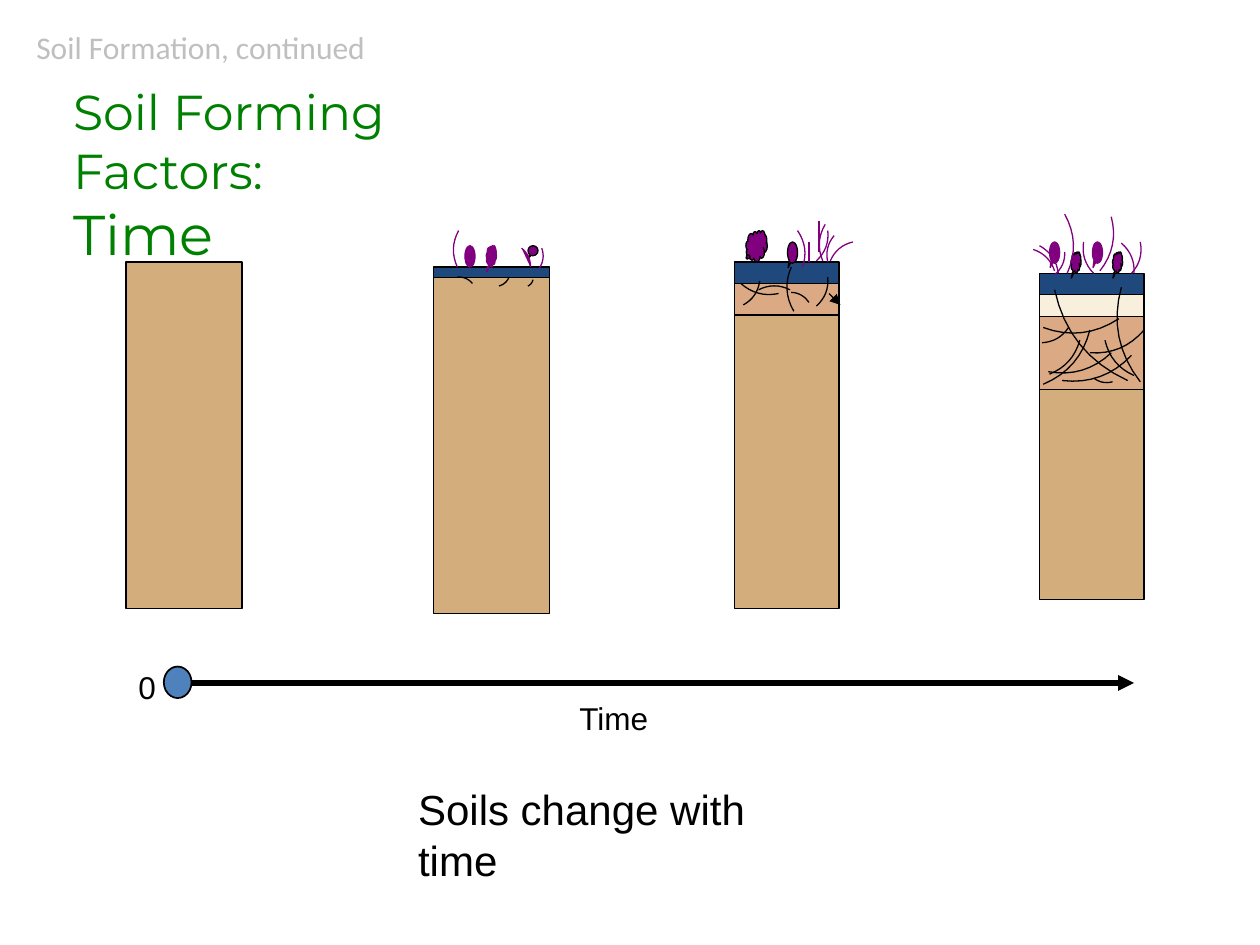
from dataclasses import dataclass
from typing import Optional

from lxml.etree import SubElement
from pptx import Presentation
from pptx.dml.color import RGBColor as Rgb
from pptx.enum.shapes import MSO_CONNECTOR as Link, MSO_SHAPE as Form
from pptx.enum.text import MSO_ANCHOR as Anchor, MSO_AUTO_SIZE as Fit, PP_ALIGN as Align
from pptx.oxml.ns import qn
from pptx.util import Cm, Pt

BLACK, PURPLE, BLUE = "000000", "800080", "4F81BD"
SOIL, HUMUS, CLAY, SAND = "D3AD7B", "1F497D", "DBAA85", "F8F0DC"
CLOUD, BUD = Form.CLOUD_CALLOUT, Form.OVAL_CALLOUT
STEPS, BEND = 8, 0.25


@dataclass
class Plant:
    form: Form
    x: float
    y: float
    line: str = PURPLE
    w: float = 0.08
    h: float = 0.17
    tip: float = 0.7


@dataclass
class Line:
    ends: tuple
    color: str = PURPLE
    width: float = 0.75
    head: Optional[str] = None
    tail: Optional[str] = None


@dataclass
class Column:
    x: float
    w: float
    top: float
    layers: tuple
    plants: tuple = ()
    stems: tuple = ()
    roots: tuple = ()
    lines: tuple = ()


def inch(n: float) -> Cm:
    return Cm(n * 2.54)


def rgb(code: str) -> Rgb:
    return Rgb.from_string(code)


def paint(shape, fill: Optional[str], line: str, width: float = 0.75) -> None:
    shape.shadow.inherit = False
    if fill:
        shape.fill.solid()
        shape.fill.fore_color.rgb = rgb(fill)
    else:
        shape.fill.background()
    shape.line.color.rgb = rgb(line)
    shape.line.width = Pt(width)


def add_form(host, form: Form, box: tuple, fill: str, line: str = BLACK, width: float = 0.75):
    shape = host.add_shape(form, *map(inch, box))
    paint(shape, fill, line, width)
    return shape


def add_plant(host, p: Plant) -> None:
    shape = add_form(host, p.form, (p.x, p.y, p.w, p.h), PURPLE, p.line)
    shape.adjustments[0] = -0.44
    shape.adjustments[1] = p.tip


def add_curve(host, ends: tuple, line: str, fill: Optional[str] = None) -> None:
    x, y, x2, y2 = ends
    dx, dy = x2 - x, y2 - y
    dots = []
    for k in range(STEPS + 1):
        t = k / STEPS
        push = 2 * t * (1 - t) * BEND
        dots.append((inch(x + t * dx + push * dy), inch(y + t * dy - push * dx)))
    pen = host.build_freeform(*dots[0])
    pen.add_line_segments(dots[1:], close=False)
    paint(pen.convert_to_shape(), fill, line)


def add_line(host, item: Line) -> None:
    link = host.add_connector(Link.STRAIGHT, *map(inch, item.ends))
    link.line.color.rgb = rgb(item.color)
    link.line.width = Pt(item.width)
    edge = link.line._get_or_add_ln()
    for tag, end in (("a:headEnd", item.head), ("a:tailEnd", item.tail)):
        if end:
            SubElement(edge, qn(tag)).set("type", end)
    SubElement(link._element.spPr, qn("a:effectLst"))


def add_column(host, col: Column) -> None:
    group = host.add_group_shape().shapes
    top = col.top
    for deep, fill in col.layers:
        add_form(group, Form.RECTANGLE, (col.x, top, col.w, deep), fill)
        top += deep
    for p in col.plants:
        add_plant(group, p)
    for color, curves in ((PURPLE, col.stems), (BLACK, col.roots)):
        for ends in curves:
            add_curve(group, ends, color)
    for item in col.lines:
        add_line(group, item)


def style(par, size: float, font: str, color: str) -> None:
    par.alignment = Align.LEFT
    for run in par.runs:
        run.font.size = Pt(size)
        run.font.name = font
        run.font.color.rgb = rgb(color)


def add_text(host, text: str, box: tuple, size: float,
             font: str = "Arial", color: str = BLACK, wrap: bool = True) -> None:
    frame = host.add_textbox(*map(inch, box)).text_frame
    frame.word_wrap = wrap
    frame.text = text
    style(frame.paragraphs[0], size, font, color)


def set_title(title) -> None:
    title.left, title.top, title.width, title.height = map(inch, (0.48, 0.6, 4.22, 1.58))
    frame = title.text_frame
    frame.text = "Soil Forming Factors:\nTime"
    frame.auto_size = Fit.NONE
    frame.word_wrap = True
    frame.vertical_anchor = Anchor.TOP
    for par, size in zip(frame.paragraphs, (28, 32)):
        style(par, size, "Montserrat", "008000")


COLUMNS = (
    Column(1, 0.92, 2.08, ((2.75, SOIL),)),
    Column(
        3.44, 0.92, 2.12, ((0.08, HUMUS), (2.67, SOIL)),
        (Plant(CLOUD, 3.86, 1.95), Plant(BUD, 4.19, 1.95, BLACK, h=0.08), Plant(BUD, 3.69, 1.95, tip=0.2)),
        ((4.3, 1.97, 4.28, 2.13), (3.63, 2.12, 3.64, 1.83)),
        ((4.23, 2.22, 4.19, 2.27), (3.63, 2.2, 3.75, 2.25), (4.04, 2.2, 3.96, 2.27))),
    Column(
        5.83, 0.83, 2.08, ((0.17, HUMUS), (0.25, CLAY), (2.33, SOIL)),
        (Plant(CLOUD, 5.92, 1.83, BLACK, 0.17, 0.25, 0.37), Plant(BUD, 6.25, 1.92, BLACK)),
        ((6.33, 1.83, 6.37, 2.12), (6.59, 2.07, 6.77, 1.92), (6.57, 1.83, 6.48, 2.07),
         (6.53, 2.07, 6.55, 1.78), (6.57, 2.08, 6.62, 1.87)),
        ((6.3, 2.47, 6.28, 2.12), (6.28, 2.32, 6.42, 2.4), (6.03, 2.23, 5.9, 2.42),
         (6.57, 2.2, 6.48, 2.43), (6.18, 2.33, 5.88, 2.25), (6.02, 2.3, 6.27, 2.3)),
        (Line((6.5, 1.75, 6.5, 2)), Line((6.42, 1.92, 6.42, 2.08)),
         Line((6.58, 2.33, 6.67, 2.42), BLACK, tail="triangle"))),
    Column(
        8.25, 0.83, 2.17, ((0.17, HUMUS), (0.17, SAND), (0.58, CLAY), (1.67, SOIL)),
        (Plant(BUD, 8.67, 1.92), Plant(BUD, 8.33, 1.92),
         Plant(CLOUD, 8.83, 2, BLACK), Plant(CLOUD, 8.5, 2, BLACK)),
        ((8.2, 1.98, 8.37, 2.15), (8.45, 2, 8.37, 2.18), (8.25, 1.95, 8.4, 2.17), (8.9, 1.93, 9, 2.17),
         (8.68, 2.17, 8.6, 1.92), (9.05, 1.92, 8.98, 2.17), (8.82, 1.72, 8.73, 2.15), (8.45, 1.7, 8.47, 2.17)),
        ((9.05, 3.03, 8.9, 2.28), (8.98, 2.82, 8.43, 3.02), (8.95, 3.02, 8.37, 2.3), (8.48, 2.6, 8.27, 2.72),
         (9.08, 2.62, 8.65, 2.8), (8.65, 2.62, 8.28, 3.05), (8.83, 3.03, 8.68, 3), (8.57, 2.7, 8.33, 2.97),
         (8.88, 2.53, 8.28, 2.6), (9, 2.98, 8.77, 2.7), (8.82, 2.8, 8.32, 2.95))),
)


def main() -> None:
    deck = Presentation()
    deck.slide_width, deck.slide_height = Cm(25.4), Cm(19.05)
    slide = deck.slides.add_slide(deck.slide_layouts[5])
    host = slide.shapes
    set_title(host.title)
    for col in COLUMNS:
        add_column(host, col)
    add_curve(host, (4.14, 1.97, 4.21, 2.12), PURPLE, PURPLE)
    add_text(host, "Soils change with time", (3.22, 6.17, 3.26, 0.91), 24)
    add_text(host, "0", (1, 5.25, 0.58, 0.4), 18)
    add_line(host, Line((1.42, 5.42, 9, 5.42), BLACK, 3, "oval", "triangle"))
    add_text(host, "Time", (4.5, 5.5, 0.83, 0.4), 18)
    add_form(host, Form.OVAL, (1.3, 5.29, 0.22, 0.25), BLUE, width=1)
    add_text(host, "Soil Formation, continued", (0.19, 0.17, 2.84, 0.4), 18, "Calibri", "BFBFBF", False)
    deck.save("out.pptx")


if __name__ == "__main__":
    main()
